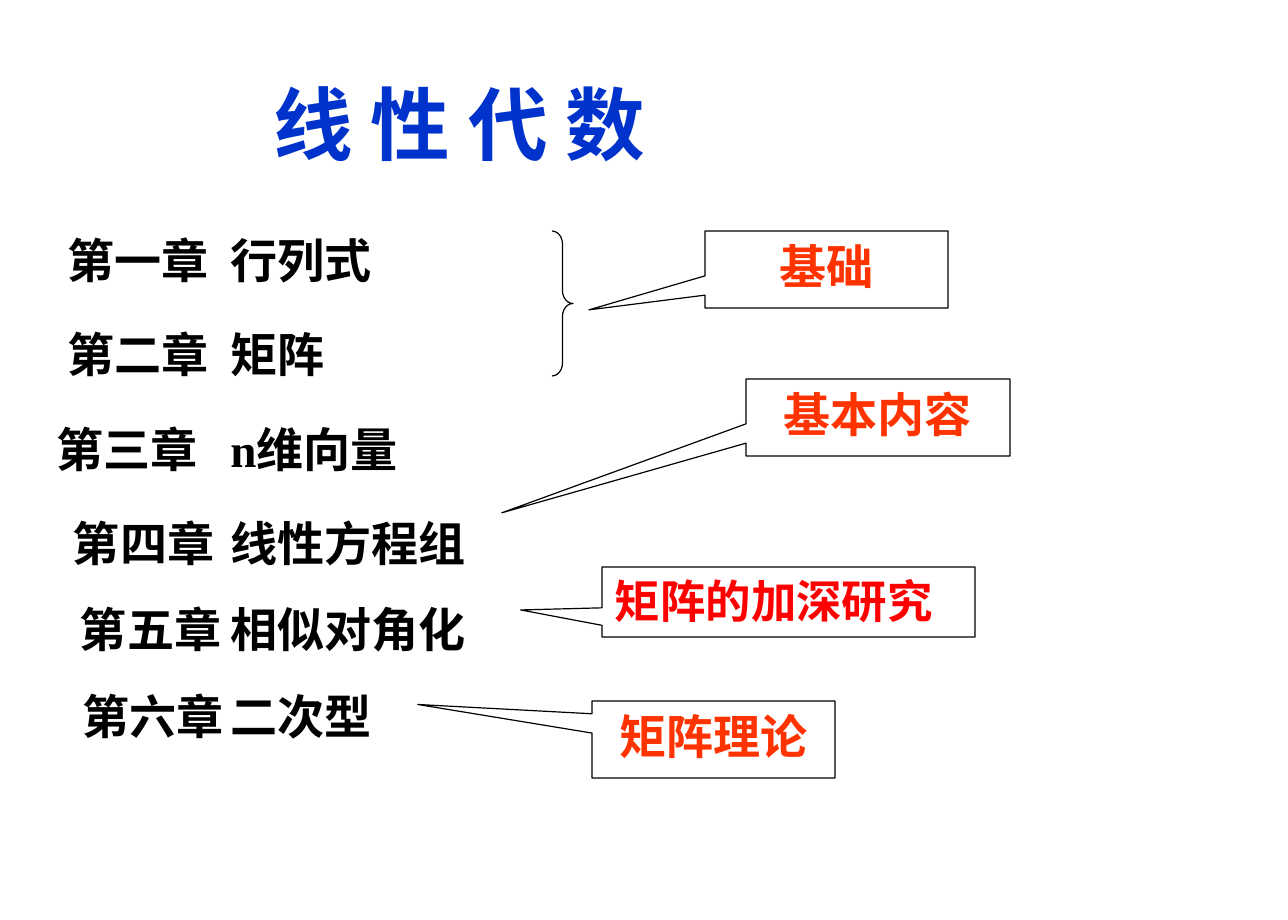
from lxml.etree import SubElement
from pptx import Presentation
from pptx.dml.color import RGBColor
from pptx.enum.shapes import MSO_SHAPE as SHAPE
from pptx.enum.text import MSO_ANCHOR as ANCHOR, MSO_AUTO_SIZE as AUTO_SIZE, PP_ALIGN as ALIGN
from pptx.oxml.ns import qn
from pptx.util import Pt

EMU_PER_PX = 7822
SERIF, SANS = "Times New Roman", "Noto Sans CJK SC"
BLACK, WHITE, BLUE, ORANGE, RED = "000000", "FFFFFF", "0033CC", "FF3300", "FF0000"

CHAPTERS = [
    ("第一章", "行列式", 12, 185, 0),
    ("第二章", "矩阵", 12, 185, 16),
    ("第三章", "n维向量", 1, 185, 16),
    ("第四章", "线性方程组", 18, 181, 16),
    ("第五章", "相似对角化", 25, 198, 11),
    ("第六章", "二次型", 27, 201, 12),
]
REMARKS = [
    ("基础", (705, 231, 243, 77), (-0.978, 0.525), ALIGN.CENTER, 29, SERIF, ORANGE),
    ("基本内容", (746, 379, 264, 77), (-1.425, 1.238), ALIGN.CENTER, 29, SERIF, ORANGE),
    ("矩阵的加深研究", (602, 567, 373, 70), (-0.718, 0.114), ALIGN.LEFT, 28, SANS, RED),
    ("矩阵理论", (592, 701, 243, 77), (-1.217, -0.454), ALIGN.CENTER, 29, SERIF, ORANGE),
]


def px(length):
    return length * EMU_PER_PX


def color(hex_code):
    return RGBColor.from_string(hex_code)


def style_font(paragraph, size, name, hex_code):
    font = paragraph.font
    font.size, font.name, font.bold = Pt(size), name, True
    font.color.rgb = color(hex_code)


def place(placeholder, left, top, width, height):
    placeholder.left, placeholder.top = px(left), px(top)
    placeholder.width, placeholder.height = px(width), px(height)


def set_frame(frame, anchor):
    frame.word_wrap = True
    frame.auto_size = AUTO_SIZE.NONE
    frame.vertical_anchor = anchor
    frame.margin_left = frame.margin_right = px(13)
    frame.margin_top = frame.margin_bottom = px(6)


def set_indent(paragraph, margin, first_line):
    properties = paragraph._p.get_or_add_pPr()
    properties.set("marL", str(px(margin)))
    properties.set("indent", str(px(first_line)))
    return properties


def add_heading(slide):
    heading = slide.shapes.title
    place(heading, 134, 61, 814, 123)
    set_frame(heading.text_frame, ANCHOR.MIDDLE)
    paragraph = heading.text_frame.paragraphs[0]
    paragraph.text = "线 性 代 数"
    paragraph.alignment = ALIGN.LEFT
    set_indent(paragraph, 126, 0)
    style_font(paragraph, 49, SANS, BLUE)


def add_chapters(slide):
    outline = slide.placeholders[1]
    place(outline, 42, 214, 500, 540)
    frame = outline.text_frame
    set_frame(frame, ANCHOR.TOP)
    for index, (number, topic, start, topic_start, gap) in enumerate(CHAPTERS):
        paragraph = frame.add_paragraph() if index else frame.paragraphs[0]
        paragraph.text = f"{number}\t{topic}"
        properties = set_indent(paragraph, 0, start)
        SubElement(properties, qn("a:buNone"))
        tabs = SubElement(properties, qn("a:tabLst"))
        SubElement(tabs, qn("a:tab"), pos=str(px(topic_start)), algn="l")
        paragraph.line_spacing = Pt(42)
        paragraph.space_before = Pt(gap)
        style_font(paragraph, 29, SERIF, BLACK)


def add_outlined(slide, kind, bounds, adjustments):
    shape = slide.shapes.add_shape(kind, *map(px, bounds))
    shape.shadow.inherit = False
    shape.line.color.rgb = color(BLACK)
    shape.line.width = Pt(0.75)
    for index, value in enumerate(adjustments):
        shape.adjustments[index] = value
    return shape


def add_brace(slide):
    brace = add_outlined(slide, SHAPE.RIGHT_BRACE, (552, 231, 21, 145), (0.61, 0.5))
    brace.fill.background()


def add_remark(slide, text, bounds, pointer, alignment, size, font_name, hex_code):
    remark = add_outlined(slide, SHAPE.RECTANGULAR_CALLOUT, bounds, pointer)
    remark.fill.solid()
    remark.fill.fore_color.rgb = color(WHITE)
    set_frame(remark.text_frame, ANCHOR.TOP)
    paragraph = remark.text_frame.paragraphs[0]
    paragraph.text = text
    paragraph.alignment = alignment
    style_font(paragraph, size, font_name, hex_code)


def main():
    deck = Presentation()
    deck.slide_width, deck.slide_height = px(1288), px(920)
    slide = deck.slides.add_slide(deck.slide_layouts[1])
    add_heading(slide)
    add_chapters(slide)
    add_brace(slide)
    for remark in REMARKS:
        add_remark(slide, *remark)
    deck.save("out.pptx")


if __name__ == "__main__":
    main()
